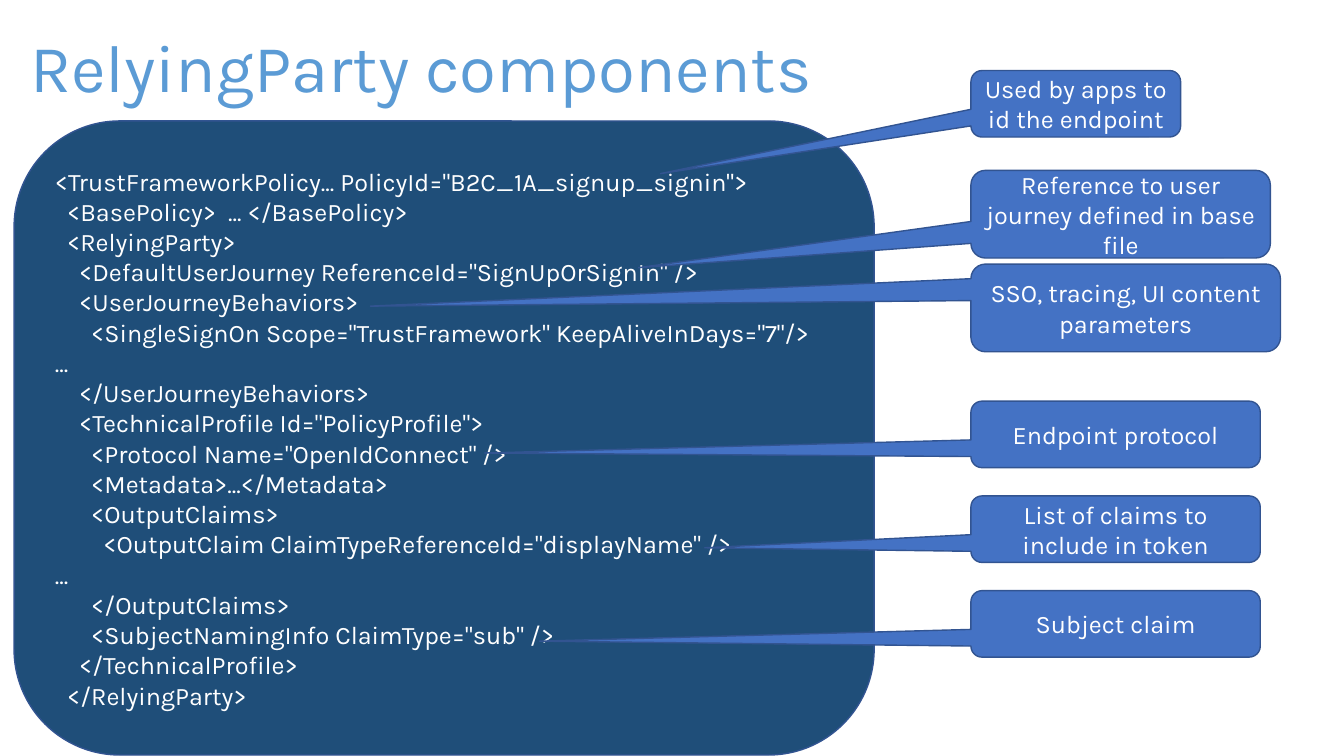
from pptx import Presentation
from pptx import util as u
from pptx.dml.color import RGBColor
from pptx.enum import shapes, text

WIDTH, HEIGHT = 13.33, 7.5
CALLOUT_LEFT = 9.63
INDENT = 0.12  # one level of code nesting, in inches


def color(value):
    return RGBColor.from_string(value)


def write(frame, lines, size=18, ink="FFFFFF", align=text.PP_ALIGN.LEFT, spacing=1.0):
    """Fill a frame with (level, line) pairs, one paragraph each."""
    frame.word_wrap = True
    frame.auto_size = text.MSO_AUTO_SIZE.NONE
    frame.vertical_anchor = text.MSO_ANCHOR.MIDDLE
    for number, (level, line) in enumerate(lines):
        para = frame.add_paragraph() if number else frame.paragraphs[0]
        para.alignment = align
        para.line_spacing = spacing
        if level:
            para._p.get_or_add_pPr().set("marL", str(u.Inches(level * INDENT)))
        span = para.add_run()
        span.text = line
        span.font.name = "Karla"
        span.font.size = u.Pt(size)
        span.font.color.rgb = color(ink)


def add_box(page, kind, left, top, width, height, fill):
    box = page.shapes.add_shape(kind, *map(u.Inches, (left, top, width, height)))
    box.shadow.inherit = False
    box.fill.solid()
    box.fill.fore_color.rgb = color(fill)
    box.line.color.rgb = color("325491")
    box.line.width = u.Pt(1)
    return box


deck = Presentation()
deck.slide_width, deck.slide_height = u.Inches(WIDTH), u.Inches(HEIGHT)
page = deck.slides.add_slide(deck.slide_layouts[5])

# Title
title = page.shapes.title
title.left, title.top = u.Inches(0.2), u.Inches(0.2)
title.width, title.height = u.Inches(12.99), u.Inches(1)
write(title.text_frame, [(0, "RelyingParty components")], size=48, ink="5B9BD5", spacing=0.9)

# Policy code panel: nesting level and line
code = [
    (0, '<TrustFrameworkPolicy... PolicyId="B2C_1A_signup_signin">'),
    (1, "<BasePolicy>  ... </BasePolicy>"),
    (1, "<RelyingParty>"),
    (2, '<DefaultUserJourney ReferenceId="SignUpOrSignIn" />'),
    (2, "<UserJourneyBehaviors>"),
    (3, '<SingleSignOn Scope="TrustFramework" KeepAliveInDays="7"/>'),
    (0, "..."),
    (2, "</UserJourneyBehaviors>"),
    (2, '<TechnicalProfile Id="PolicyProfile">'),
    (3, '<Protocol Name="OpenIdConnect" />'),
    (3, "<Metadata>...</Metadata>"),
    (3, "<OutputClaims>"),
    (4, '<OutputClaim ClaimTypeReferenceId="displayName" />'),
    (0, "..."),
    (3, "</OutputClaims>"),
    (3, '<SubjectNamingInfo ClaimType="sub" />'),
    (2, "</TechnicalProfile>"),
    (1, "</RelyingParty>"),
]
panel = add_box(page, shapes.MSO_SHAPE.ROUNDED_RECTANGLE, 0.14, 1.2, 8.53, 6.29, "1F4E79")
write(panel.text_frame, code)

# Callouts: label, top, width, height, and pointer tip as shares of the box from its centre
callouts = [
    ("Used by apps to id the endpoint", 0.7, 2.08, 0.66, -1.98, 1.05),
    ("Reference to user journey defined in base file", 1.69, 2.97, 0.87, -1.61, 0.61),
    ("SSO, tracing, UI content parameters", 2.62, 3.07, 0.87, -2.44, -0.02),
    ("Endpoint protocol", 3.98, 2.87, 0.66, -2.18, 0.28),
    ("List of claims to include in token", 4.92, 2.87, 0.66, -1.42, 0.28),
    ("Subject claim", 5.86, 2.87, 0.66, -1.99, 0.26),
]
for label, top, width, height, tip_x, tip_y in callouts:
    callout = add_box(page, shapes.MSO_SHAPE.ROUNDED_RECTANGULAR_CALLOUT,
                      CALLOUT_LEFT, top, width, height, "4472C4")
    callout.adjustments[0] = tip_x
    callout.adjustments[1] = tip_y
    write(callout.text_frame, [(0, label)], align=text.PP_ALIGN.CENTER)

deck.save("out.pptx")
